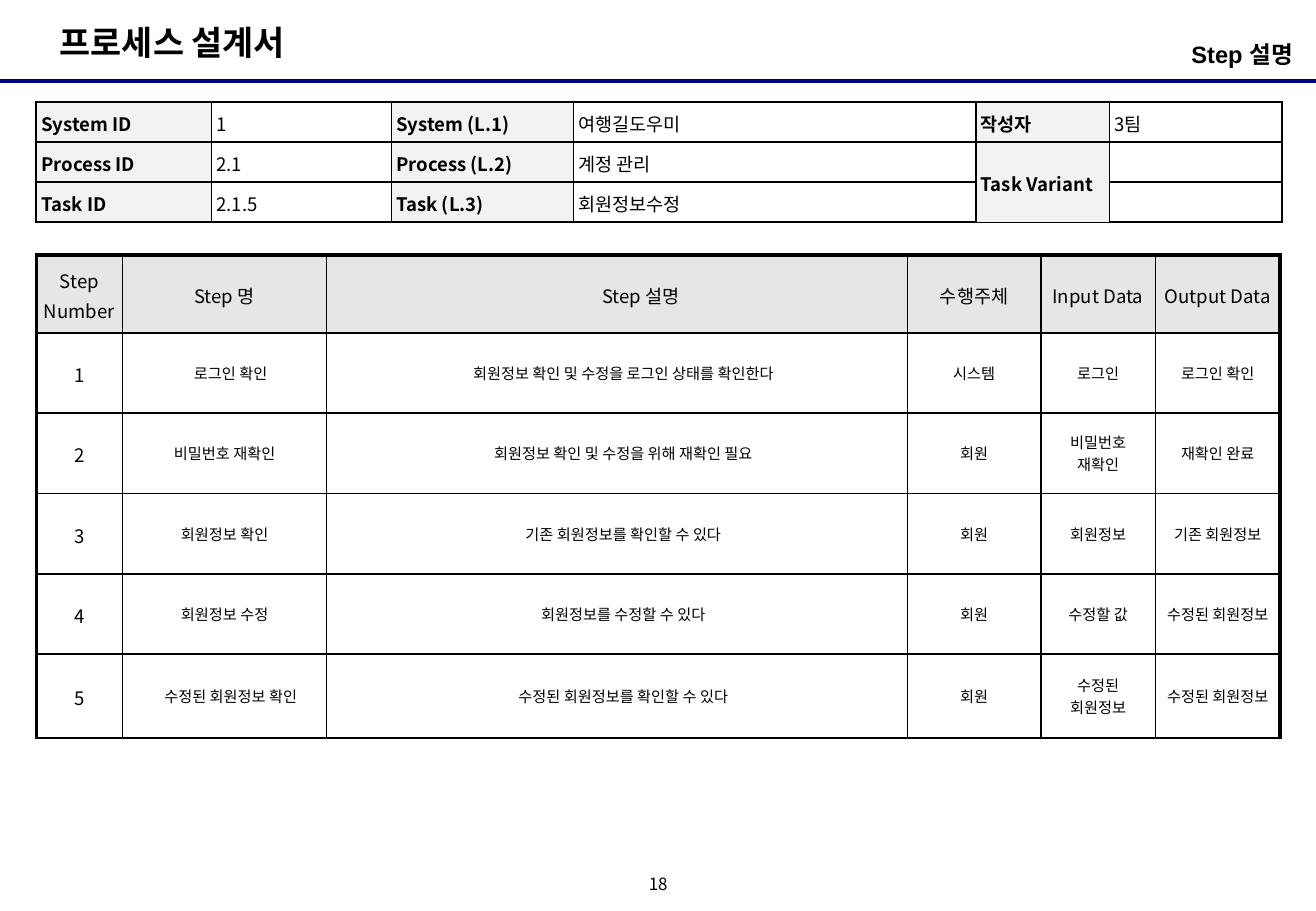
from lxml import etree
from pptx import Presentation
from pptx.dml.color import RGBColor
from pptx.enum.shapes import MSO_CONNECTOR
from pptx.enum.text import MSO_ANCHOR, MSO_AUTO_SIZE, PP_ALIGN
from pptx.oxml.ns import qn
from pptx.util import Cm, Pt

STRAIGHT = MSO_CONNECTOR.STRAIGHT
TOP, MIDDLE = MSO_ANCHOR.TOP, MSO_ANCHOR.MIDDLE
LEFT, CENTER, RIGHT = PP_ALIGN.LEFT, PP_ALIGN.CENTER, PP_ALIGN.RIGHT
NO_AUTOFIT = MSO_AUTO_SIZE.NONE
HANGUL = "Noto Sans CJK KR"
BLACK, NAVY, LABEL_GRAY, HEADER_GRAY = "000000", "000080", "F2F2F2", "E6E6E6"
SLIDE_WIDTH, SLIDE_HEIGHT = 27.51, 19.05

INFO_WIDTHS = [3.66, 3.76, 3.81, 8.41, 2.79, 3.61]
INFO_ROWS = [
    ["System ID", "1", "System (L.1)", "여행길도우미", "작성자", "3팀"],
    ["Process ID", "2.1", "Process (L.2)", "계정 관리", "Task Variant", ""],
    ["Task ID", "2.1.5", "Task (L.3)", "회원정보수정", "", ""],
]
STEP_WIDTHS = [1.8, 4.27, 12.14, 2.79, 2.39, 2.61]
STEP_HEIGHTS = [1.63, 1.68, 1.68, 1.68, 1.68, 1.75]
STEP_ROWS = [
    ["Step Number", "Step 명", "Step 설명", "수행주체", "Input Data", "Output Data"],
    ["1", "로그인 확인", "회원정보 확인 및 수정을 로그인 상태를 확인한다", "시스템", "로그인", "로그인 확인"],
    ["2", "비밀번호 재확인", "회원정보 확인 및 수정을 위해 재확인 필요", "회원", "비밀번호 재확인", "재확인 완료"],
    ["3", "회원정보 확인", "기존 회원정보를 확인할 수 있다", "회원", "회원정보", "기존 회원정보"],
    ["4", "회원정보 수정", "회원정보를 수정할 수 있다", "회원", "수정할 값", "수정된 회원정보"],
    ["5", "수정된 회원정보 확인", "수정된 회원정보를 확인할 수 있다", "회원", "수정된 회원정보", "수정된 회원정보"],
]
STEP_INDENTS = {(0, 2): 1, (1, 1): 0.25, (5, 1): 0.25} | {(row, 2): 0.25 for row in range(1, 6)}


def color(value):
    """Turn a hex string into a colour."""
    return RGBColor.from_string(value)


def apply(target, **values):
    """Set each given value as an attribute of the target."""
    for name, value in values.items():
        setattr(target, name, value)


def write(paragraph, text, size, bold=False, latin=HANGUL, align=LEFT, spacing=1.0, indent=0):
    """Fill a paragraph with one formatted run, or size it when it is empty."""
    apply(paragraph, alignment=align, line_spacing=spacing)
    if indent:
        paragraph._p.get_or_add_pPr().set("marL", str(Cm(indent)))
    if not text:
        etree.SubElement(paragraph._p, qn("a:endParaRPr"), sz=str(size * 100))
        return
    run = paragraph.add_run()
    run.text = text
    apply(run.font, size=Pt(size), bold=bold, name=latin)
    run.font.color.rgb = color(BLACK)
    etree.SubElement(run.font._element, qn("a:ea"), typeface=HANGUL)


def set_frame(frame, sides, ends, anchor):
    """Set the margins and anchor of a wrapping text frame."""
    apply(frame, margin_left=Cm(sides), margin_right=Cm(sides), margin_top=Cm(ends),
          margin_bottom=Cm(ends), vertical_anchor=anchor, word_wrap=True, auto_size=NO_AUTOFIT)


def set_borders(cell, widths):
    """Draw the black borders of a cell in the given point widths."""
    properties = cell._tc.get_or_add_tcPr()
    for side in ("L", "R", "T", "B"):
        border = etree.SubElement(properties, qn(f"a:ln{side}"), w=str(Pt(widths[side])))
        fill = etree.SubElement(border, qn("a:solidFill"))
        etree.SubElement(fill, qn("a:srgbClr"), val=BLACK)


def add_grid(slide, box, widths, heights, frame):
    """Add a plain bordered table with its outer frame in the given point widths."""
    left, top = box
    grid = slide.shapes.add_table(len(heights), len(widths), Cm(left), Cm(top),
                                  Cm(sum(widths)), Cm(sum(heights))).table
    apply(grid, first_row=False, horz_banding=False)
    for column, width in zip(grid.columns, widths):
        column.width = Cm(width)
    for row, height in zip(grid.rows, heights):
        row.height = Cm(height)
    for r in range(len(heights)):
        for c in range(len(widths)):
            outer = {"L": c == 0, "R": c == len(widths) - 1, "T": r == 0, "B": r == len(heights) - 1}
            set_borders(grid.cell(r, c), {side: frame[side] if edge else 1 for side, edge in outer.items()})
    return grid


def fill_cell(cell, sides, fill):
    """Set the margins and fill of a table cell."""
    apply(cell, margin_left=Cm(sides), margin_right=Cm(sides), margin_top=Cm(0.1),
          margin_bottom=Cm(0.1), vertical_anchor=MIDDLE)
    if fill:
        cell.fill.solid()
        cell.fill.fore_color.rgb = color(fill)
    else:
        cell.fill.background()


def add_header(slide, box):
    """Place the title, the section name and the rule below them."""
    left, top, width, height = box
    title = slide.shapes.title
    apply(title, left=Cm(left + 1), top=Cm(top + 0.33), width=Cm(8), height=Cm(1.12))
    set_frame(title.text_frame, 0.25, 0.13, TOP)
    write(title.text_frame.paragraphs[0], "프로세스 설계서", 20, True, "Arial")
    section = slide.shapes.add_textbox(Cm(left + width - 8.74), Cm(top + 0.71), Cm(8.4), Cm(1)).text_frame
    set_frame(section, 0.14, 0.13, TOP)
    write(section.paragraphs[0], "Step 설명", 14, True, "Arial", RIGHT)
    rule = slide.shapes.add_connector(STRAIGHT, Cm(left), Cm(top + height), Cm(left + width), Cm(top + height))
    rule.line.color.rgb = color(NAVY)
    rule.line.width = Pt(2.25)
    etree.SubElement(rule._element.spPr, qn("a:effectLst"))


def add_info(slide, box):
    """Place the table that identifies the system, process and task."""
    info = add_grid(slide, box, INFO_WIDTHS, [0.84] * len(INFO_ROWS), dict.fromkeys("LRTB", 1.5))
    info.cell(1, 4).merge(info.cell(2, 4))
    for r, texts in enumerate(INFO_ROWS):
        for c, text in enumerate(texts):
            is_label = c % 2 == 0
            cell = info.cell(r, c)
            fill_cell(cell, 0.1, LABEL_GRAY if is_label else None)
            write(cell.text_frame.paragraphs[0], text, 11, is_label, spacing=1.1)


def add_steps(slide, box):
    """Place the table that describes the steps."""
    steps = add_grid(slide, box, STEP_WIDTHS, STEP_HEIGHTS, {"L": 2.25, "R": 2.25, "T": 2.25, "B": 1})
    for r, texts in enumerate(STEP_ROWS):
        for c, text in enumerate(texts):
            is_large = r == 0 or c == 0
            cell = steps.cell(r, c)
            fill_cell(cell, 0.15, HEADER_GRAY if r == 0 else None)
            write(cell.text_frame.paragraphs[0], text, 11 if is_large else 9, align=CENTER,
                  spacing=1.1 if is_large else 1.0, indent=STEP_INDENTS.get((r, c), 0))


def add_page_number(slide, box):
    """Place the page number in the middle of the footer."""
    left, top, width, height = box
    number = slide.shapes.add_textbox(Cm(left), Cm(top), Cm(width), Cm(height)).text_frame
    set_frame(number, 0, 0, MIDDLE)
    write(number.paragraphs[0], "18", 10, align=CENTER, spacing=0.8)


def main():
    """Build the process design slide and save it."""
    deck = Presentation()
    apply(deck, slide_width=Cm(SLIDE_WIDTH), slide_height=Cm(SLIDE_HEIGHT))
    slide = deck.slides.add_slide(deck.slide_layouts.get_by_name("Title Only"))
    add_header(slide, (0, 0, SLIDE_WIDTH, 1.7))
    add_info(slide, (0.76, 2.13))
    add_steps(slide, (0.76, 5.33))
    add_page_number(slide, (13.34, 18.21, 0.84, 0.64))
    deck.save("out.pptx")


if __name__ == "__main__":
    main()
